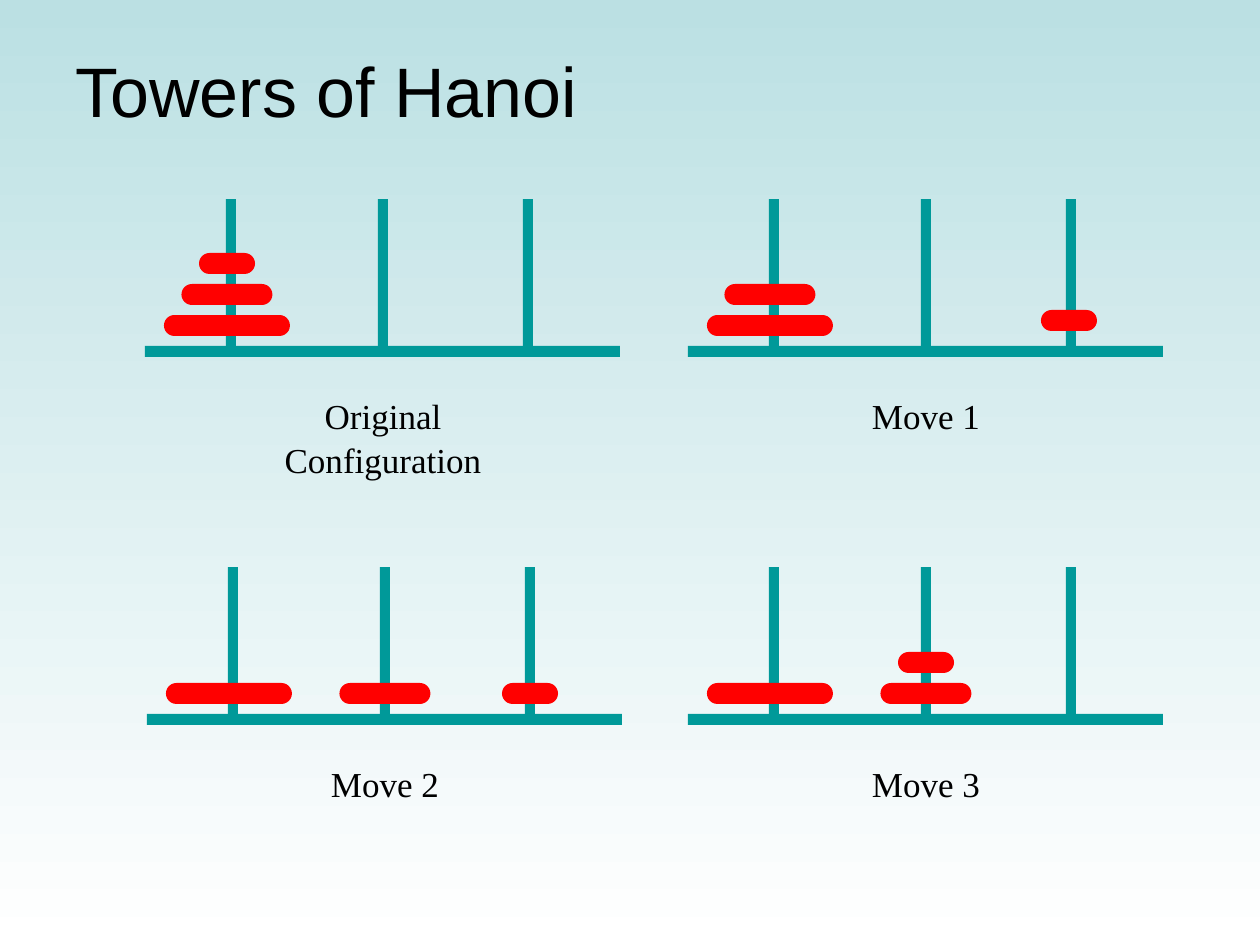
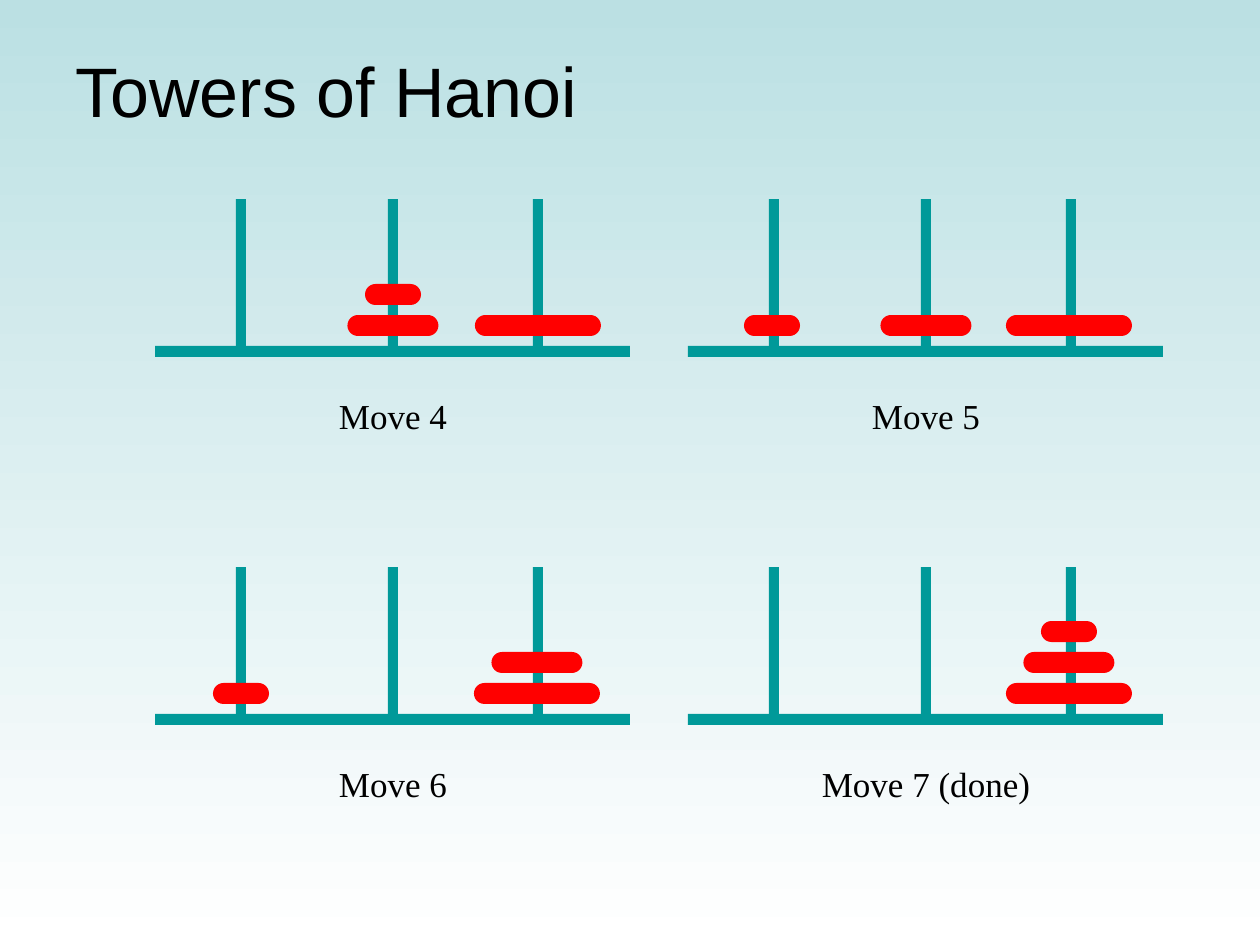
"""Build two slides that walk through the seven moves of Towers of Hanoi."""
from dataclasses import dataclass

from pptx import Presentation
from pptx.dml.color import RGBColor
from pptx.enum.shapes import MSO_SHAPE
from pptx.enum.text import MSO_ANCHOR, PP_ALIGN
from pptx.util import Pt

EMU_PER_PX = 914400 / 126
SLIDE_SIZE = (1260, 945)
TITLE = "Towers of Hanoi"
TITLE_BOX = (63, 10, 1144, 158)

ROW_TOPS = (346, 714)
RIGHT_COLUMN = 688
BASE_WIDTH, BASE_HEIGHT = 475, 11
PEG_CENTERS = (86, 238, 383)
PEG_WIDTH, PEG_HEIGHT, PEG_RISE = 10, 158, 147
DISK_HEIGHT, DISK_STEP = 21, 31
CAPTION_DROP, CAPTION_HEIGHT = 40, 54

LEFT, MIDDLE, RIGHT = range(3)
LARGE, MEDIUM, SMALL = 126, 91, 56


@dataclass(frozen=True)
class Theme:
    """Colours, fonts and type sizes of the deck."""
    sky: RGBColor = RGBColor(0xBB, 0xE0, 0xE3)
    ground: RGBColor = RGBColor(0xFF, 0xFF, 0xFF)
    ink: RGBColor = RGBColor(0, 0, 0)
    wood: RGBColor = RGBColor(0, 0x99, 0x99)
    disk: RGBColor = RGBColor(0xFF, 0, 0)
    title_font: str = "Arial"
    caption_font: str = "Times New Roman"
    title_size: int = 40
    caption_size: int = 20


@dataclass(frozen=True)
class Stack:
    """Disks on one peg, from the bottom up, with a shift from the peg."""
    peg: int
    disks: tuple
    dx: int = 0
    dy: int = 0


@dataclass(frozen=True)
class Board:
    """One state of the puzzle with its caption."""
    caption: str
    left: int
    stacks: tuple
    caption_width: int = 134


THEME = Theme()

SLIDES = (
    (
        Board("Original Configuration", 145,
              (Stack(LEFT, (LARGE, MEDIUM, SMALL), -4),), 300),
        Board("Move 1", RIGHT_COLUMN,
              (Stack(LEFT, (LARGE, MEDIUM), -4), Stack(RIGHT, (SMALL,), -2, -5))),
        Board("Move 2", 147,
              (Stack(LEFT, (LARGE,), -4), Stack(MIDDLE, (MEDIUM,)),
               Stack(RIGHT, (SMALL,)))),
        Board("Move 3", RIGHT_COLUMN,
              (Stack(LEFT, (LARGE,), -4), Stack(MIDDLE, (MEDIUM, SMALL)))),
    ),
    (
        Board("Move 4", 155,
              (Stack(MIDDLE, (MEDIUM, SMALL)), Stack(RIGHT, (LARGE,)))),
        Board("Move 5", RIGHT_COLUMN,
              (Stack(LEFT, (SMALL,), -2), Stack(MIDDLE, (MEDIUM,)),
               Stack(RIGHT, (LARGE,), -2))),
        Board("Move 6", 155,
              (Stack(LEFT, (SMALL,)), Stack(RIGHT, (LARGE, MEDIUM), -1))),
        Board("Move 7 (done)", RIGHT_COLUMN,
              (Stack(RIGHT, (LARGE, MEDIUM, SMALL), -2),), 233),
    ),
)


def emu(*lengths):
    """Turn px lengths into EMU."""
    return [round(length * EMU_PER_PX) for length in lengths]


def style_paragraph(paragraph, font_name, size, alignment):
    """Set the font and alignment of a paragraph."""
    paragraph.alignment = alignment
    paragraph.font.name = font_name
    paragraph.font.size = Pt(size)
    paragraph.font.color.rgb = THEME.ink


def paint_background(master):
    """Give every slide the vertical gradient."""
    fill = master.background.fill
    fill.gradient()
    fill.gradient_angle = 270
    for stop, color in zip(fill.gradient_stops, (THEME.sky, THEME.ground)):
        stop.color.rgb = color


def add_title(slide):
    """Fill and place the title placeholder."""
    title = slide.shapes.title
    title.left, title.top, title.width, title.height = emu(*TITLE_BOX)
    title.text_frame.text = TITLE
    title.text_frame.vertical_anchor = MSO_ANCHOR.MIDDLE
    style_paragraph(title.text_frame.paragraphs[0], THEME.title_font,
                    THEME.title_size, PP_ALIGN.LEFT)


def add_bar(shapes, preset, color, *box):
    """Add a plain filled shape."""
    bar = shapes.add_shape(preset, *emu(*box))
    bar.shadow.inherit = False
    bar.fill.solid()
    bar.fill.fore_color.rgb = color
    bar.line.fill.background()
    return bar


def add_stack(shapes, stack, board_left, base_top):
    """Pile the disks of one peg above the base."""
    center = board_left + PEG_CENTERS[stack.peg] + stack.dx
    for level, width in enumerate(stack.disks, start=1):
        disk = add_bar(shapes, MSO_SHAPE.ROUNDED_RECTANGLE, THEME.disk,
                       center - width / 2,
                       base_top - level * DISK_STEP + stack.dy,
                       width, DISK_HEIGHT)
        disk.adjustments[0] = 0.5


def add_caption(shapes, board, base_top):
    """Centre the caption below the middle peg."""
    left = board.left + PEG_CENTERS[MIDDLE] - board.caption_width / 2
    caption = shapes.add_textbox(*emu(left, base_top + CAPTION_DROP,
                                      board.caption_width, CAPTION_HEIGHT))
    frame = caption.text_frame
    frame.word_wrap = True
    frame.margin_left = frame.margin_right = 0
    frame.text = board.caption
    frame.paragraphs[0].line_spacing = 1.05
    style_paragraph(frame.paragraphs[0], THEME.caption_font,
                    THEME.caption_size, PP_ALIGN.CENTER)


def add_board(slide, board, base_top):
    """Draw base, pegs, disks and caption as one group."""
    shapes = slide.shapes.add_group_shape().shapes
    add_bar(shapes, MSO_SHAPE.RECTANGLE, THEME.wood,
            board.left, base_top, BASE_WIDTH, BASE_HEIGHT)
    for center in PEG_CENTERS:
        add_bar(shapes, MSO_SHAPE.RECTANGLE, THEME.wood,
                board.left + center - PEG_WIDTH / 2, base_top - PEG_RISE,
                PEG_WIDTH, PEG_HEIGHT)
    for stack in board.stacks:
        add_stack(shapes, stack, board.left, base_top)
    add_caption(shapes, board, base_top)


def main():
    """Build and save the deck."""
    deck = Presentation()
    deck.slide_width, deck.slide_height = emu(*SLIDE_SIZE)
    paint_background(deck.slide_master)
    for boards in SLIDES:
        slide = deck.slides.add_slide(deck.slide_layouts[5])
        add_title(slide)
        for index, board in enumerate(boards):
            add_board(slide, board, ROW_TOPS[index // 2])
    deck.save("out.pptx")


if __name__ == "__main__":
    main()
